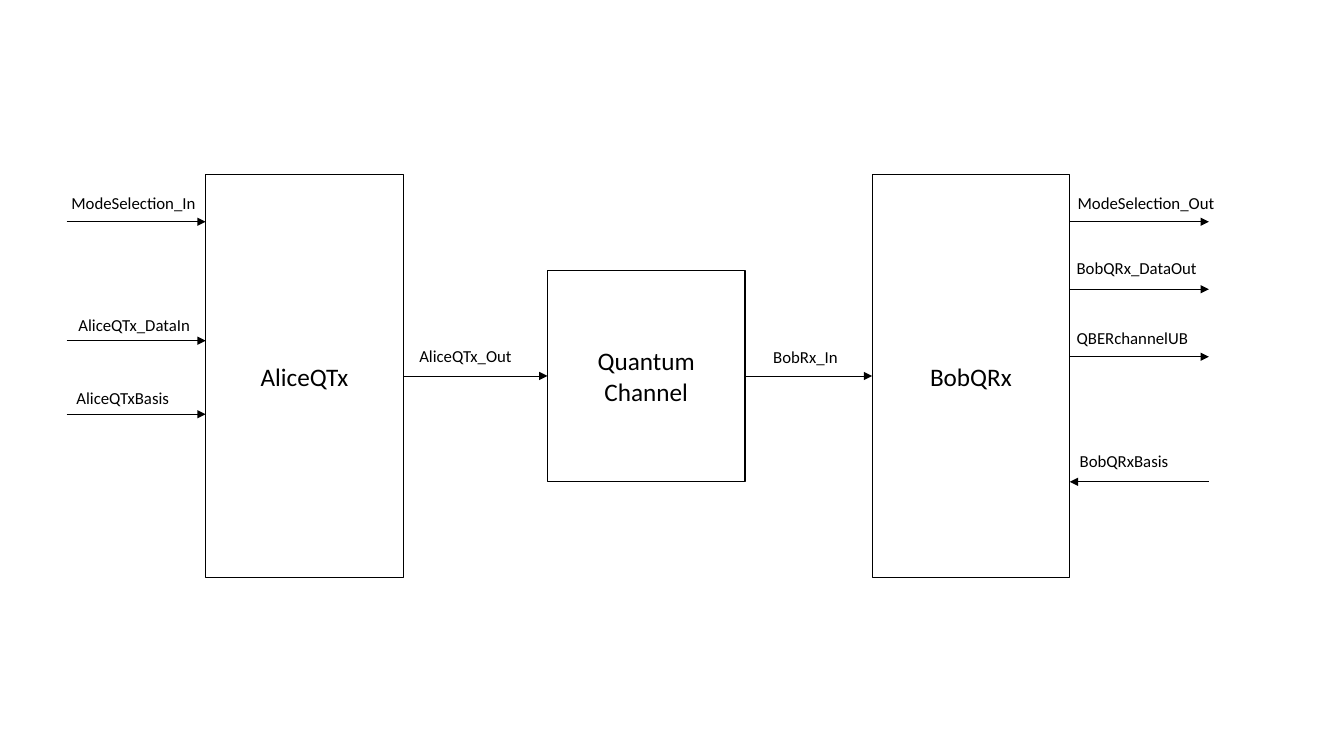
from lxml import etree
from pptx import Presentation
from pptx import util as u
from pptx.dml import color
from pptx.enum import shapes, text
from pptx.oxml import ns

INK = "000000"
PORT_LENGTH = 1.38


def rgb(value):
    """Return the colour for a hex string."""
    return color.RGBColor.from_string(value)


def write(frame, words, size):
    """Add one run of text to the first paragraph of a frame."""
    run = frame.paragraphs[0].add_run()
    run.text = words
    run.font.size = u.Pt(size)
    run.font.name = "Calibri"
    run.font.color.rgb = rgb(INK)


def block(slide, box, name):
    """Draw an outlined module with its name centred in the box."""
    module = slide.shapes.add_shape(shapes.MSO_SHAPE.RECTANGLE, *map(u.Inches, box))
    module.shadow.inherit = False
    module.fill.background()
    module.line.color.rgb = rgb(INK)
    module.line.width = u.Pt(0.75)
    frame = module.text_frame
    frame.word_wrap = True
    frame.vertical_anchor = text.MSO_ANCHOR.MIDDLE
    frame.paragraphs[0].alignment = text.PP_ALIGN.CENTER
    write(frame, name, 18)


def signal(slide, start, end, y, name, shift, rise=0.34, width=1.45):
    """Draw an arrow from start to end with its label above the left end."""
    arrow = slide.shapes.add_connector(
        shapes.MSO_CONNECTOR.STRAIGHT, *map(u.Inches, (start, y, end, y)))
    arrow.line.color.rgb = rgb(INK)
    arrow.line.width = u.Pt(0.5)
    etree.SubElement(arrow.line._get_or_add_ln(), ns.qn("a:tailEnd"), type="triangle")
    etree.SubElement(arrow._element.spPr, ns.qn("a:effectLst"))
    label = slide.shapes.add_textbox(
        *map(u.Inches, (min(start, end) + shift, y - rise, width, 0.3)))
    label.text_frame.word_wrap = True
    write(label.text_frame, name, 12)


def transmitter(slide, box):
    """Draw the sending module and the inputs on its left side."""
    left, top = box[:2]
    block(slide, box, "AliceQTx")
    for name, drop, shift, rise in (
        ("ModeSelection_In", 0.47, -0.05, 0.34),
        ("AliceQTx_DataIn", 1.65, 0.02, 0.31),
        ("AliceQTxBasis", 2.38, 0, 0.31),
    ):
        signal(slide, left - PORT_LENGTH, left, top + drop, name, shift, rise, 1.47)


def receiver(slide, box):
    """Draw the receiving module with its outputs and basis input on the right."""
    left, top, width, _ = box
    side = left + width
    tip = side + PORT_LENGTH
    block(slide, box, "BobQRx")
    for row, (name, shift, rise) in enumerate((
        ("ModeSelection_Out", -0.02, 0.34),
        ("BobQRx_DataOut", -0.03, 0.36),
        ("QBERchannelUB", -0.03, 0.34),
    )):
        signal(slide, side, tip, top + 0.47 + 0.67 * row, name, shift, rise, 1.6)
    signal(slide, tip, side, top + 3.05, "BobQRxBasis", 0, 0.36)


def channel(slide, box, source, target):
    """Draw the channel and its links to the source and target edges."""
    left, top, width, height = box
    middle = top + height / 2
    block(slide, box, "Quantum Channel")
    signal(slide, source, left, middle, "AliceQTx_Out", 0.06, 0.35)
    signal(slide, left + width, target, middle, "BobRx_In", 0.18)


def build():
    """Build the link diagram and save it."""
    deck = Presentation()
    deck.slide_width, deck.slide_height = u.Inches(13.33), u.Inches(7.5)
    slide = deck.slides.add_slide(deck.slide_layouts[6])
    alice = (2.04, 1.73, 1.96, 4)
    bob = (8.65, 1.73, 1.96, 4)
    channel(slide, (5.43, 2.68, 1.96, 2.1), alice[0] + alice[2], bob[0])
    transmitter(slide, alice)
    receiver(slide, bob)
    deck.save("out.pptx")


build()
